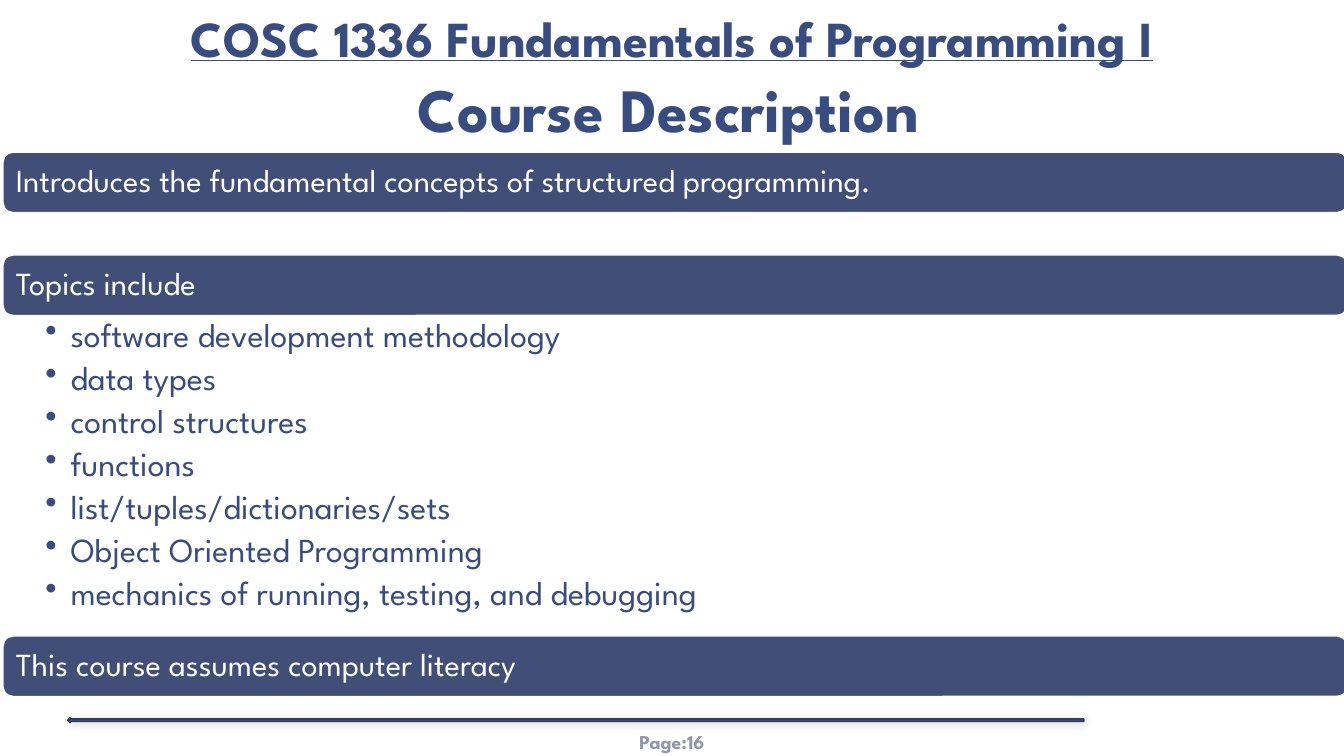
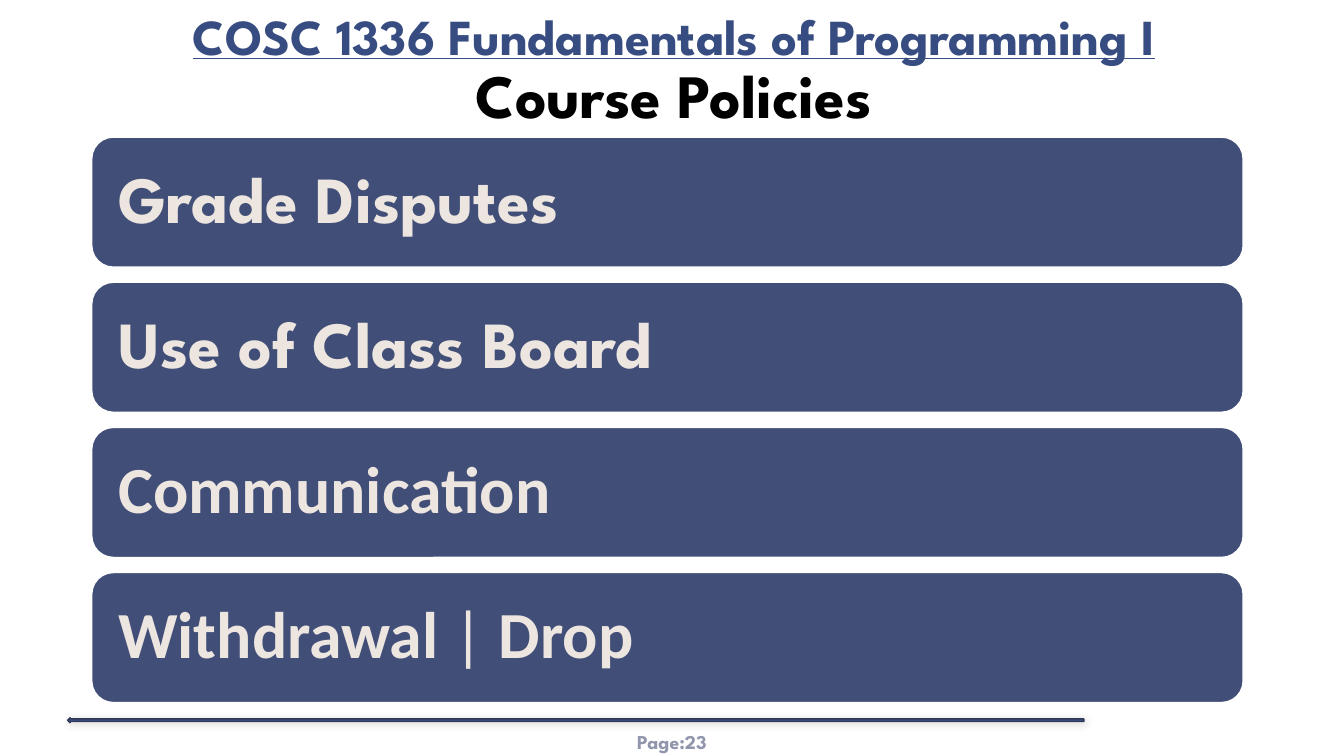
from lxml import etree
from pptx import Presentation
from pptx import util as u
from pptx.dml.color import RGBColor
from pptx.enum import shapes, text
from pptx.oxml.ns import qn

# Content
COURSE = "COSC 1336 Fundamentals of Programming I"
INTRO = "Introduces the fundamental concepts of structured programming."
TOPICS = [
    "software development methodology",
    "data types",
    "control structures",
    "functions",
    "list/tuples/dictionaries/sets",
    "Object Oriented Programming",
    "mechanics of running, testing, and debugging",
]
BARS = [(1.51, INTRO), (2.53, "Topics include"),
        (6.31, "This course assumes computer literacy")]
FONT, PLAIN = "League Spartan", "Calibri"
RULES = [  # font, then (words, bold) runs
    (FONT, [("Grade Disputes", True)]),
    (FONT, [("Use of Class Board", True)]),
    (PLAIN, [("Communication", True)]),
    (PLAIN, [("Withdrawal", True), (" | ", False), ("Drop", True)]),
]

# Shared look
HUES = {"navy": "374C81", "bar": "414E77", "edge": "303A58", "page": "9196AC",
        "white": "FFFFFF", "cream": "EDE5DF", "black": "000000"}
WIDE, HIGH = 13.33, 7.5
MID, TOP, LOW = (text.MSO_ANCHOR.MIDDLE, text.MSO_ANCHOR.TOP,
                 text.MSO_ANCHOR.BOTTOM)
LEFT, MIDST = text.PP_ALIGN.LEFT, text.PP_ALIGN.CENTER


def hue(name):
    return RGBColor.from_string(HUES[name])


def spot(x, y, w, h):
    return [u.Inches(n) for n in (x, y, w, h)]


def write(shape, paras, size, color, font=FONT, bold=False, line=False,
          align=LEFT, anchor=TOP, pads=(0.1, 0.05, 0.1, 0.05), lead=1.0,
          after=0, bullet=False):
    """Fill a shape; each paragraph is a string or a list of (words, bold)."""
    frame = shape.text_frame
    frame.word_wrap = True
    frame.vertical_anchor = anchor
    (frame.margin_left, frame.margin_top,
     frame.margin_right, frame.margin_bottom) = spot(*pads)
    for i, runs in enumerate(paras):
        para = frame.add_paragraph() if i else frame.paragraphs[0]
        para.alignment, para.line_spacing = align, lead
        para.space_after = u.Pt(after)
        if bullet:
            props = para._p.get_or_add_pPr()
            props.set("marL", str(u.Inches(0.25)))
            props.set("indent", str(-u.Inches(0.25)))
            etree.SubElement(props, qn("a:buChar")).set("char", "•")
        for words, heavy in [(runs, bold)] if isinstance(runs, str) else runs:
            run = para.add_run()
            run.text = words
            face = run.font
            face.name, face.size, face.bold = font, u.Pt(size), heavy
            face.underline = line
            face.color.rgb = hue(color)


def label(slide, box, paras, size, color, **style):
    write(slide.shapes.add_textbox(*spot(*box)), paras, size, color, **style)


def block(slide, kind, box, fill, edge):
    shape = slide.shapes.add_shape(kind, *spot(*box))
    shape.shadow.inherit = False
    shape.fill.solid()
    shape.fill.fore_color.rgb = hue(fill)
    shape.line.color.rgb = hue(edge)
    shape.line.width = u.Pt(1)
    return shape


def bar(slide, box, runs, size, color, pad, **style):
    shape = block(slide, shapes.MSO_SHAPE.ROUNDED_RECTANGLE, box, "bar", "white")
    write(shape, [runs], size, color, anchor=MID, pads=[pad] * 4, lead=0.9,
          **style)


def shade(shape):
    """Give a shape a soft, faint shadow."""
    glow = shape._element.spPr.find(qn("a:effectLst"))
    cast = etree.SubElement(glow, qn("a:outerShdw"), blurRad=str(u.Pt(6)),
                            dist=str(u.Pt(1)), dir=str(45 * 60000))
    tint = etree.SubElement(cast, qn("a:srgbClr"), val=HUES["black"])
    etree.SubElement(tint, qn("a:alpha"), val="20000")


def start(deck, page, title, color, head, sub):
    """Add a slide with footer and both headings at their (left, top)."""
    slide = deck.slides.add_slide(deck.slide_layouts[6])
    label(slide, (5.78, 7.16, 1.77, 0.4), [f"Page:{page}"], 14, "page",
          bold=True, align=MIDST, anchor=MID, pads=(0.04, 0.02, 0.04, 0.02))
    shade(block(slide, shapes.MSO_SHAPE.LEFT_ARROW, (0.67, 7.12, 10.08, 0.05),
                "navy", "edge"))
    label(slide, (*sub, WIDE, 0.86), [title], 44, color, bold=True,
          align=MIDST, anchor=LOW, pads=(0.13, 0.07, 0.13, 0.07), lead=0.8)
    label(slide, (*head, WIDE, 0.71), [COURSE], 36, "navy", bold=True,
          line=True, align=MIDST)
    return slide


def main():
    deck = Presentation()
    deck.slide_width, deck.slide_height = u.Inches(WIDE), u.Inches(HIGH)

    # Course description
    slide = start(deck, 16, "Course Description", "navy", (0, 0.02),
                  (-0.03, 0.64))
    for y, words in BARS:
        bar(slide, (0.03, y, WIDE, 0.6), words, 23, "white", 0.1)
    label(slide, (0.03, 3.13, WIDE, 3.18), TOPICS, 24, "navy", lead=0.9,
          after=4.8, bullet=True, pads=(0.42, 0.03, 0.19, 0.03))

    # Course policies
    slide = start(deck, 23, "Course Policies", "black", (0.02, 0), (0.02, 0.5))
    for i, (font, runs) in enumerate(RULES):
        bar(slide, (0.91, 1.36 + 1.44 * i, 11.42, 1.29), runs, 47, "cream",
            0.2, font=font)

    deck.save("out.pptx")


if __name__ == "__main__":
    main()
